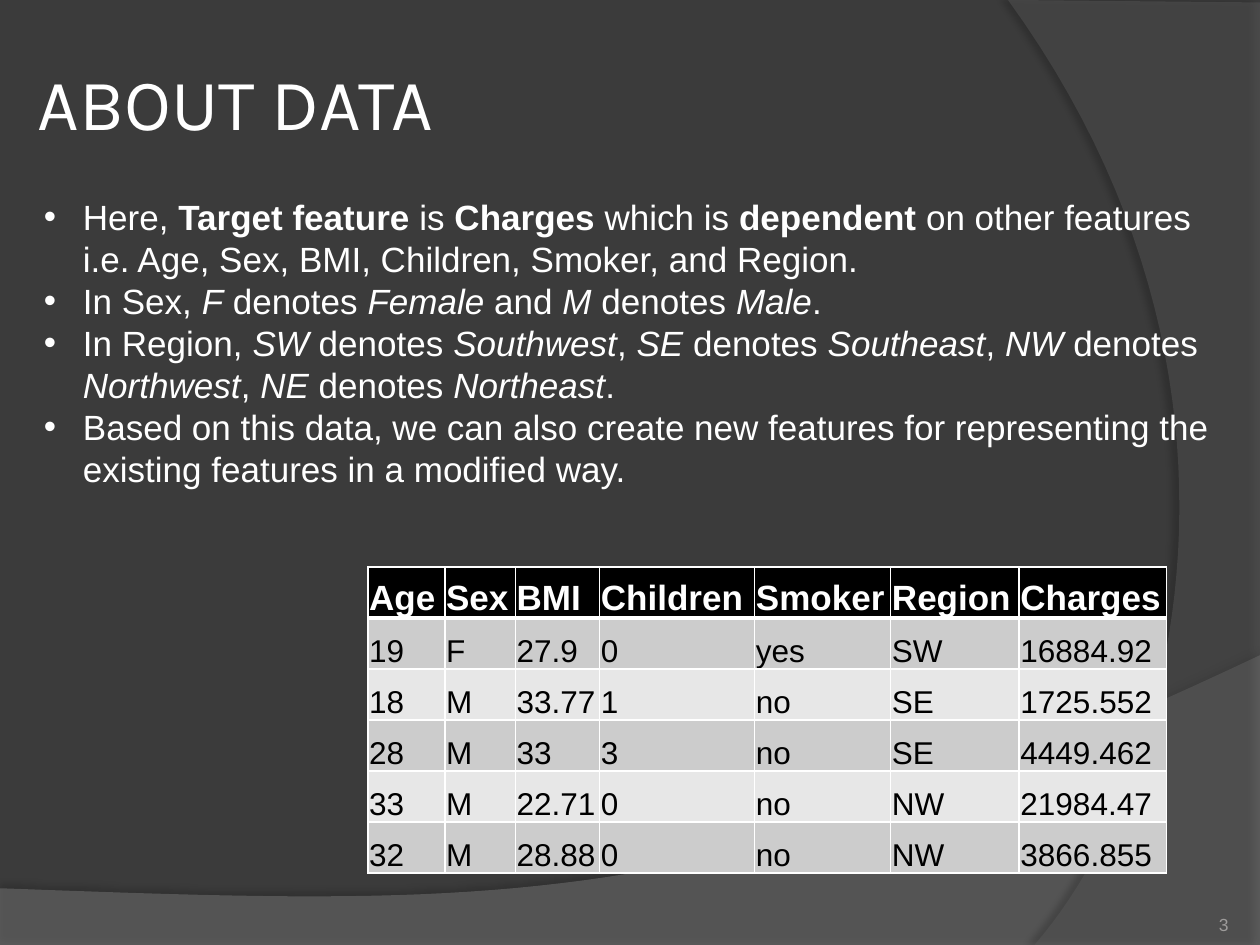
from dataclasses import dataclass

from lxml.etree import SubElement
from pptx import Presentation
from pptx.dml.color import RGBColor
from pptx.enum.text import MSO_ANCHOR, MSO_AUTO_SIZE, PP_ALIGN
from pptx.oxml import parse_xml
from pptx.oxml.ns import nsdecls, qn
from pptx.util import Inches, Pt


@dataclass(frozen=True)
class Theme:
    back: str = "3B3B3B"
    wave: str = "7F7F7F"
    arc: str = "5E5E5E"
    light: str = "FFFFFF"
    dark: str = "000000"
    bands: tuple = ("CCCCCC", "E7E7E7")
    muted: str = "9D9B9A"
    head: str = "Karla"
    body: str = "Arial"
    title: float = 41.4
    text: float = 20
    cell: float = 18
    small: float = 10


def curve(start, one, two, end, steps=48):
    """Points along a cubic curve, without its start."""
    points = []
    for step in range(1, steps + 1):
        t = step / steps
        parts = ((1 - t) ** 3, 3 * t * (1 - t) ** 2, 3 * t * t * (1 - t), t ** 3)
        points.append(tuple(
            sum(part * spot[axis] for part, spot in zip(parts, (start, one, two, end)))
            for axis in (0, 1)))
    return points


class Deck:
    def __init__(self, theme):
        self.theme = theme
        self.show = Presentation()
        self.show.slide_width, self.show.slide_height = Inches(10), Inches(7.5)
        self.slide = self.show.slides.add_slide(self.show.slide_layouts[6])
        self.paint(self.slide.background.fill, theme.back)

    def paint(self, fill, color):
        fill.solid()
        fill.fore_color.rgb = RGBColor.from_string(color)

    def run(self, para, text, size, color, font=None, bold=False, slant=False):
        run = para.add_run()
        run.text = text
        run.font.name = font or self.theme.body
        run.font.size = Pt(size)
        run.font.bold, run.font.italic = bold, slant
        run.font.color.rgb = RGBColor.from_string(color)

    def shape(self, points, color, alpha, shade, blur, dist, angle):
        spots = [(Inches(x), Inches(y)) for x, y in points]
        pen = self.slide.shapes.build_freeform(*spots[0])
        pen.add_line_segments(spots[1:], close=True)
        shape = pen.convert_to_shape()
        self.paint(shape.fill, color)
        shape.line.fill.background()
        tint = shape.fill._xPr.find(qn("a:solidFill"))[0]
        SubElement(tint, qn("a:alpha"), val=str(alpha * 1000))
        shape.shadow.inherit = False
        glow = shape._element.spPr.find(qn("a:effectLst"))
        glow.append(parse_xml(
            f'<a:outerShdw {nsdecls("a")} blurRad="{Pt(blur)}" dist="{Pt(dist)}" '
            f'dir="{angle * 60000}" algn="ctr" rotWithShape="0">'
            f'<a:srgbClr val="{self.theme.dark}"><a:alpha val="{shade * 1000}"/>'
            '</a:srgbClr></a:outerShdw>'))

    def box(self, left, top, width, height, anchor=MSO_ANCHOR.TOP, inset=None):
        box = self.slide.shapes.add_textbox(
            Inches(left), Inches(top), Inches(width), Inches(height))
        frame = box.text_frame
        frame.word_wrap = True
        frame.vertical_anchor = anchor
        if inset is not None:
            frame.margin_left = frame.margin_right = Inches(inset)
            frame.margin_top = frame.margin_bottom = Inches(inset)
        return frame

    def list(self, frame, items):
        """Each item is (text, style); every second part between bars has the style."""
        frame.auto_size = MSO_AUTO_SIZE.SHAPE_TO_FIT_TEXT
        for row, (text, style) in enumerate(items):
            para = frame.add_paragraph() if row else frame.paragraphs[0]
            props = para._p.get_or_add_pPr()
            props.set("marL", str(Inches(0.31)))
            props.set("indent", str(-Inches(0.31)))
            SubElement(props, qn("a:buFont"), typeface=self.theme.body)
            SubElement(props, qn("a:buChar"), char="•")
            for spot, part in enumerate(text.split("|")):
                look = {style: True} if spot % 2 else {}
                self.run(para, part, self.theme.text, self.theme.light, **look)

    def edge(self, cell, base):
        props = cell._tc.get_or_add_tcPr()
        for spot, (side, width) in enumerate(
                {"lnL": 1, "lnR": 1, "lnT": 1, "lnB": base}.items()):
            props.insert(spot, parse_xml(
                f'<a:{side} {nsdecls("a")} w="{Pt(width)}"><a:solidFill>'
                f'<a:srgbClr val="{self.theme.light}"/></a:solidFill></a:{side}>'))

    def table(self, left, top, widths, tall, rows):
        look = self.theme
        table = self.slide.shapes.add_table(
            len(rows), len(widths), Inches(left), Inches(top),
            Inches(sum(widths)), Inches(tall)).table
        table.horz_banding = False
        for col, width in zip(table.columns, widths):
            col.width = Inches(width)
        for r, row in enumerate(rows):
            table.rows[r].height = Inches(tall / len(rows))
            top_row = r == 0
            for c, text in enumerate(row):
                cell = table.cell(r, c)
                cell.vertical_anchor = MSO_ANCHOR.BOTTOM
                cell.margin_left = cell.margin_right = cell.margin_top = Inches(0.01)
                cell.margin_bottom = 0
                self.paint(cell.fill, look.dark if top_row else look.bands[(r - 1) % 2])
                self.edge(cell, 3 if top_row else 1)
                self.run(cell.text_frame.paragraphs[0], text,
                         look.text if top_row else look.cell,
                         look.light if top_row else look.dark, bold=top_row)


ITEMS = [
    ("Here, |Target feature| is |Charges| which is |dependent| on other features "
     "i.e. Age, Sex, BMI, Children, Smoker, and Region.", "bold"),
    ("In Sex, |F| denotes |Female| and |M| denotes |Male|.", "slant"),
    ("In Region, |SW| denotes |Southwest|, |SE| denotes |Southeast|, "
     "|NW| denotes |Northwest|, |NE| denotes |Northeast|.", "slant"),
    ("Based on this data, we can also create new features for representing "
     "the existing features in a modified way.", "bold"),
]
ROWS = [
    ("Age", "Sex", "BMI", "Children", "Smoker", "Region", "Charges"),
    ("19", "F", "27.9", "0", "yes", "SW", "16884.92"),
    ("18", "M", "33.77", "1", "no", "SE", "1725.552"),
    ("28", "M", "33", "3", "no", "SE", "4449.462"),
    ("33", "M", "22.71", "0", "no", "NW", "21984.47"),
    ("32", "M", "28.88", "0", "no", "NW", "3866.855"),
]
WIDTHS = (0.61, 0.56, 0.67, 1.23, 1.08, 1.02, 1.17)


def main():
    theme = Theme()
    deck = Deck(theme)

    # Backdrop: low wave and right arc
    wave = [(0, 7.05), (0, 7.51), (10, 7.51), (10, 5.2)]
    wave += curve(wave[-1], (5.59, 7.29), (3.91, 7.19), wave[0])[:-1]
    deck.shape(wave, theme.wave, 45, 35, 4, 3.5, 270)
    arc = [(10, 0.02), (10, 7.5), (8.21, 7.5)]
    arc += curve(arc[-1], (9.35, 6.19), (10.18, 3), (8, 0))
    deck.shape(arc, theme.arc, 40, 45, 4, 4, 180)

    # Title
    title = deck.box(0.25, 0.42, 4.5, 0.77, MSO_ANCHOR.MIDDLE, 0.05)
    deck.run(title.paragraphs[0], "ABOUT DATA", theme.title, theme.light, theme.head)

    # Sample data
    deck.table(2.92, 4.5, WIDTHS, 2.43, ROWS)

    # Notes on the data
    deck.list(deck.box(0.25, 1.5, 9.58, 2.46), ITEMS)

    # Page number
    page = deck.box(8.92, 7.02, 0.83, 0.4, MSO_ANCHOR.BOTTOM, 0).paragraphs[0]
    page.alignment = PP_ALIGN.RIGHT
    deck.run(page, "3", theme.small, theme.muted)

    deck.show.save("out.pptx")


if __name__ == "__main__":
    main()
